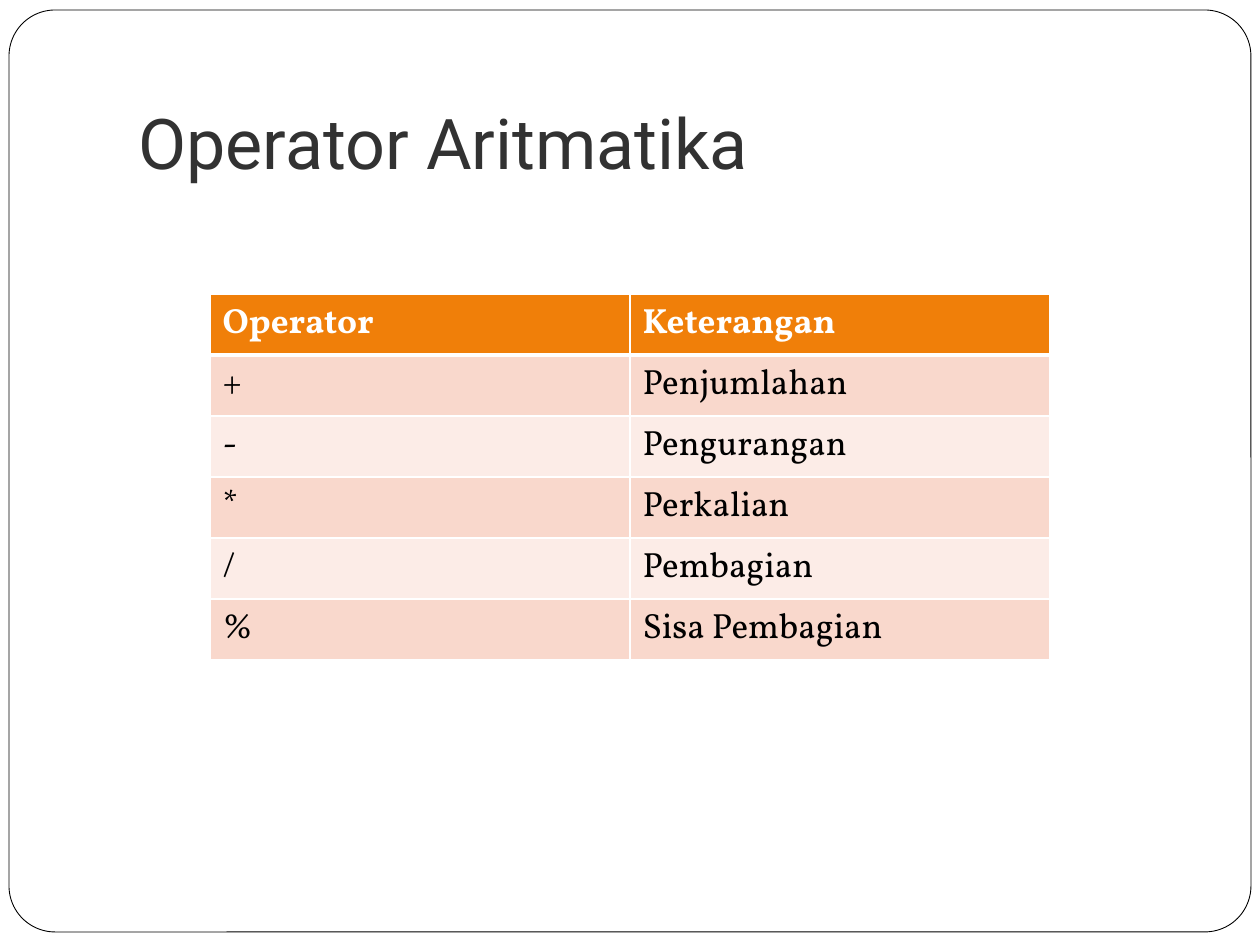
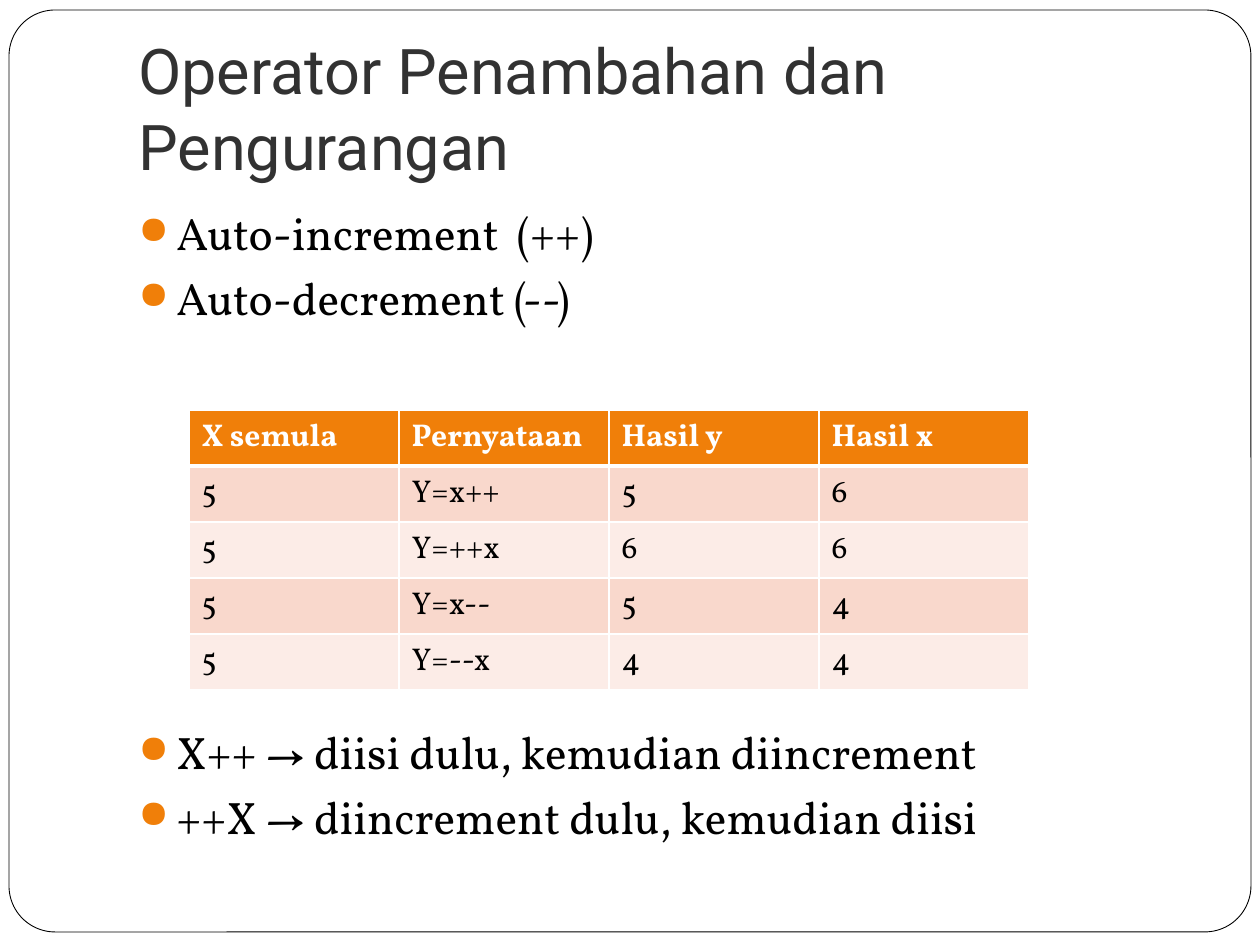
from dataclasses import dataclass

from pptx import Presentation
from pptx.dml.color import RGBColor
from pptx.enum.shapes import MSO_SHAPE as Shape
from pptx.enum.text import MSO_ANCHOR as Anchor
from pptx.oxml.ns import qn
from pptx.util import Emu, Pt
from lxml.etree import SubElement

WHITE = RGBColor(0xFF, 0xFF, 0xFF)
BLACK = RGBColor(0, 0, 0)
CHARCOAL = RGBColor(0x32, 0x32, 0x32)
ORANGE = RGBColor(0xF0, 0x7F, 0x09)
BANDS = (RGBColor(0xF9, 0xD8, 0xCC), RGBColor(0xFC, 0xEC, 0xE7))

TITLE_FONT, BODY_FONT = "Roboto", "Vollkorn"
PX_PER_INCH = 126
BULLET_INDENT = 38


@dataclass(frozen=True)
class Grid:
    left: int
    top: int
    column_width: int
    row_height: int
    size: int
    rows: tuple[tuple[str, ...], ...]


@dataclass(frozen=True)
class Bullet:
    text: str
    space_before: float = 5.8


OPERATORS = Grid(210, 294, 420, 61, 20, (
    ("Operator", "Keterangan"),
    ("+", "Penjumlahan"),
    ("-", "Pengurangan"),
    ("*", "Perkalian"),
    ("/", "Pembagian"),
    ("%", "Sisa Pembagian"),
))
RESULTS = Grid(189, 410, 210, 56, 18, (
    ("X semula", "Pernyataan", "Hasil y", "Hasil x"),
    ("5", "Y=x++", "5", "6"),
    ("5", "Y=++x", "6", "6"),
    ("5", "Y=x--", "5", "4"),
    ("5", "Y=--x", "4", "4"),
))
BULLETS = (
    Bullet("Auto-increment  (++)"),
    Bullet("Auto-decrement (--)"),
    Bullet("X++ → diisi dulu, kemudian diincrement", space_before=228.4),
    Bullet("++X → diincrement dulu, kemudian diisi"),
)


def px(length: int) -> Emu:
    return Emu(length * 914400 // PX_PER_INCH)


def write(para, text: str, *, size: float, font: str = BODY_FONT,
          color: RGBColor = BLACK, bold: bool = False) -> None:
    span = para.add_run()
    span.text = text
    span.font.name = font
    span.font.size = Pt(size)
    span.font.bold = bold
    span.font.color.rgb = color


def add_text_frame(page, left: int, top: int, width: int, height: int):
    frame = page.shapes.add_textbox(px(left), px(top), px(width), px(height)).text_frame
    frame.word_wrap = True
    return frame


def add_page(deck, title: str, title_size: int):
    page = deck.slides.add_slide(deck.slide_layouts[6])
    border = page.shapes.add_shape(Shape.ROUNDED_RECTANGLE, px(9), px(10), px(1242), px(922))
    border.adjustments[0] = 0.05
    border.shadow.inherit = False
    border.fill.solid()
    border.fill.fore_color.rgb = WHITE
    border.line.color.rgb = BLACK
    border.line.width = Pt(0.5)
    frame = add_text_frame(page, 126, 38, 1071, 158)
    frame.vertical_anchor = Anchor.BOTTOM
    frame.margin_bottom = px(13)
    write(frame.paragraphs[0], title, size=title_size, font=TITLE_FONT, color=CHARCOAL)
    return page


def add_borders(cell, *, top: int, bottom: int) -> None:
    properties = cell._tc.get_or_add_tcPr()
    for side, width in (("L", 1), ("R", 1), ("T", top), ("B", bottom)):
        line = SubElement(properties, qn(f"a:ln{side}"), w=str(Pt(width)))
        fill = SubElement(line, qn("a:solidFill"))
        SubElement(fill, qn("a:srgbClr"), val=str(WHITE))


def add_grid(page, grid: Grid) -> None:
    row_count, column_count = len(grid.rows), len(grid.rows[0])
    table = page.shapes.add_table(
        row_count, column_count, px(grid.left), px(grid.top),
        px(grid.column_width * column_count), px(grid.row_height * row_count)).table
    for row in table.rows:
        row.height = px(grid.row_height)
    for row_index, texts in enumerate(grid.rows):
        header = row_index == 0
        for column_index, text in enumerate(texts):
            cell = table.cell(row_index, column_index)
            add_borders(cell, top=3 if row_index == 1 else 1, bottom=3 if header else 1)
            cell.fill.solid()
            cell.fill.fore_color.rgb = ORANGE if header else BANDS[(row_index - 1) % 2]
            write(cell.text_frame.paragraphs[0], text, size=grid.size,
                  color=WHITE if header else BLACK, bold=header)


def add_bullets(page, bullets: tuple[Bullet, ...]) -> None:
    frame = add_text_frame(page, 126, 199, 1071, 714)
    for index, bullet in enumerate(bullets):
        para = frame.add_paragraph() if index else frame.paragraphs[0]
        para.space_before = Pt(bullet.space_before)
        properties = para._p.get_or_add_pPr()
        properties.set("marL", str(px(BULLET_INDENT)))
        properties.set("indent", str(-px(BULLET_INDENT)))
        color = SubElement(properties, qn("a:buClr"))
        SubElement(color, qn("a:srgbClr"), val=str(ORANGE))
        SubElement(properties, qn("a:buSzPct"), val="85000")
        SubElement(properties, qn("a:buChar"), char="●")
        write(para, bullet.text, size=26)


def main() -> None:
    """Build the two slides on operators and save them."""
    deck = Presentation()
    deck.slide_width, deck.slide_height = px(1260), px(945)
    arithmetic = add_page(deck, "Operator Aritmatika", 40)
    add_grid(arithmetic, OPERATORS)
    increment = add_page(deck, "Operator Penambahan dan Pengurangan", 36)
    add_bullets(increment, BULLETS)
    add_grid(increment, RESULTS)
    deck.save("out.pptx")


if __name__ == "__main__":
    main()
